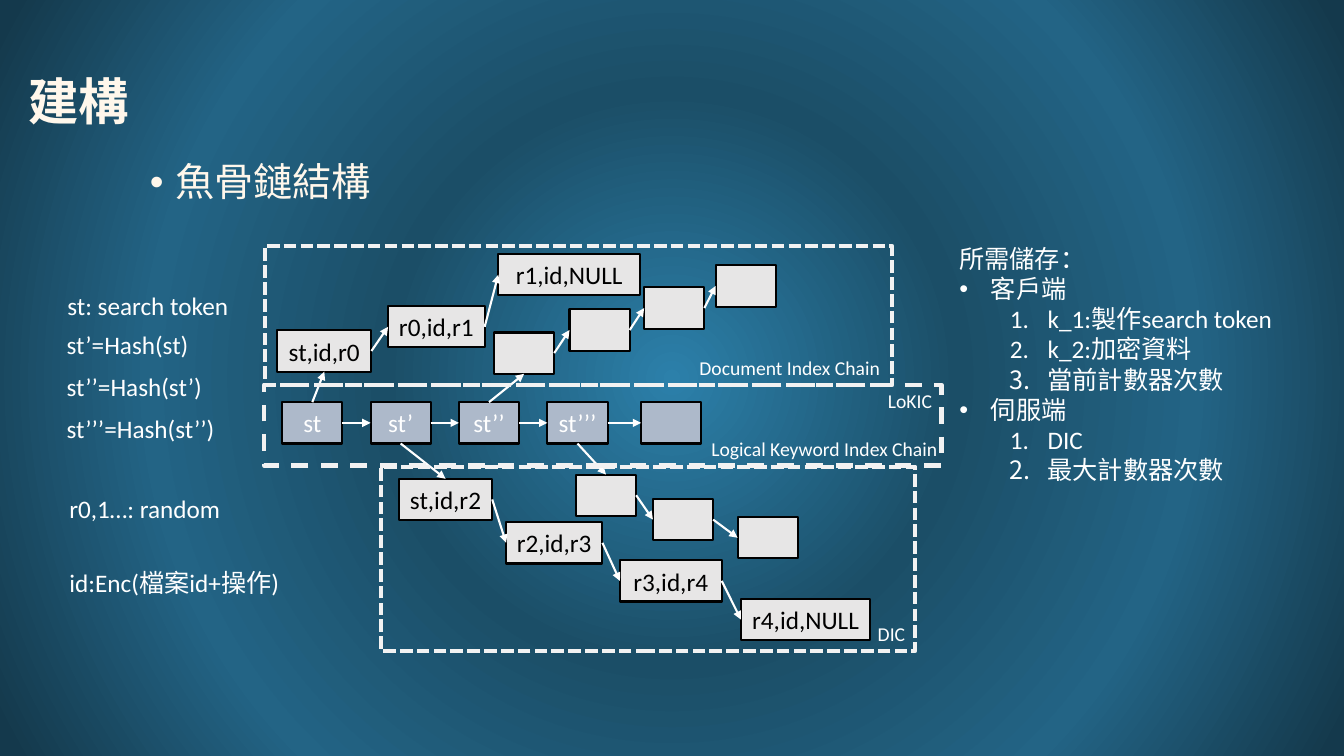
import lxml.etree
import pptx
import pptx.dml.color
import pptx.enum.dml
import pptx.enum.shapes
import pptx.enum.text
import pptx.oxml.ns
import pptx.util

Pt = pptx.util.Pt
qn = pptx.oxml.ns.qn
Dash = pptx.enum.dml.MSO_LINE
Align = pptx.enum.text.PP_ALIGN
Anchor = pptx.enum.text.MSO_ANCHOR
Rect = pptx.enum.shapes.MSO_SHAPE.RECTANGLE
Straight = pptx.enum.shapes.MSO_CONNECTOR.STRAIGHT

# Content: lengths in points
LATIN, HAN = "Calibri", "Noto Sans CJK SC"
CREAM, WHITE, BLACK, PALE = "FFF7EB", "FFFFFF", "000000", "F2F2F2"
GREY, STEEL = "E7E6E6", "ADB9CA"
GLOW = [(0, "2C80AA"), (37, "1B4E67"), (68, "236485"), (98, "14394C")]
TITLE = "建構"
TOPIC = "魚骨鏈結構"
HIGH, SLIM = 29.5, 43

# Keyword chain: left, text
SPINE_TOP = 287.3
SPINE = [(201.6, "st"), (264.7, "st’"), (327.8, "st’’"), (391, "st’’’"), (458, "")]

# Index chains: spine box, goes up, then left, top, width, text of each box
BONES = [
    (0, True, [(198, 236, 67.3, "st,id,r0"), (277.2, 218.7, 69, "r0,id,r1"),
               (355.9, 181.5, 101.5, "r1,id,NULL")]),
    (2, True, [(352.9, 237.5, SLIM, ""), (406.8, 221, SLIM, ""),
               (460.1, 205.3, SLIM, ""), (511.2, 189.5, SLIM, "")]),
    (1, False, [(284.9, 342, 66.7, "st,id,r2"), (361.5, 373, 68.8, "r2,id,r3"),
                (442.8, 400.2, 72.7, "r3,id,r4"), (529.3, 427.8, 92.3, "r4,id,NULL")]),
    (3, False, [(411.4, 339, SLIM, ""), (466.4, 356.4, SLIM, ""),
                (526.9, 369.4, SLIM, "")]),
]

FRAMES = [
    (188.6, 275, 483.9, 57.6, Dash.DASH),
    (272.2, 333.4, 381.6, 131.6, Dash.SQUARE_DOT),
    (189.4, 175.7, 447.8, 99.4, Dash.SQUARE_DOT),
]

# Left, top, width, text
LABELS = [
    (492.5, 250.6, 150, "Document Index Chain"),
    (619.9, 440.6, 42, "DIC"),
    (501.1, 308.9, 185, "Logical Keyword Index Chain"),
    (627.1, 273.9, 52, "LoKIC"),
]
NOTES = [
    (41, 203.8, 140, "st: search token"),
    (40.5, 231.8, 130, "st’=Hash(st)"),
    (40.5, 261.4, 130, "st’’=Hash(st’)"),
    (40.5, 291.6, 130, "st’’’=Hash(st’’)"),
    (42.5, 348.5, 135, "r0,1…: random"),
    (42.5, 401.8, 166.3, "id:Enc(檔案id+操作)"),
]
STORE = [
    ("", "所需儲存："),
    ("dot", "客戶端"),
    ("num", "k_1:製作search token"),
    ("num", "k_2:加密資料"),
    ("num", "當前計數器次數"),
    ("dot", "伺服端"),
    ("num", "DIC"),
    ("num", "最大計數器次數"),
]


def color(code):
    return pptx.dml.color.RGBColor.from_string(code)


def add(parent, tag, **attrs):
    return lxml.etree.SubElement(parent, qn(tag), **attrs)


def style(para, size, code, bold=False):
    for run in para.runs:
        font = run.font
        font.size, font.bold, font.name = Pt(size), bold, LATIN
        font.color.rgb = color(code)
        add(font.fill._xPr, "a:ea", typeface=HAN)


def bullet(para, kind, left, hang):
    props = para._p.get_or_add_pPr()
    props.set("marL", str(Pt(left)))
    props.set("indent", str(-Pt(hang)))
    if kind == "dot":
        add(props, "a:buFont", typeface="Arial")
        add(props, "a:buChar", char="•")
    else:
        add(props, "a:buFont", typeface="+mj-lt")
        add(props, "a:buAutoNum", type="arabicPeriod")


def write(left, top, wide, high, text, size, code):
    frame = slide.shapes.add_textbox(Pt(left), Pt(top), Pt(wide), Pt(high)).text_frame
    frame.word_wrap = True
    frame.text = text
    for para in frame.paragraphs:
        style(para, size, code)
    return frame


def block(left, top, wide, high, fill, edge, weight):
    shape = slide.shapes.add_shape(Rect, Pt(left), Pt(top), Pt(wide), Pt(high))
    shape.shadow.inherit = False
    if fill:
        shape.fill.solid()
        shape.fill.fore_color.rgb = color(fill)
    else:
        shape.fill.background()
    shape.line.color.rgb = color(edge)
    shape.line.width = Pt(weight)
    return shape


def node(left, top, wide, text, fill, ink):
    frame = block(left, top, wide, HIGH, fill, BLACK, 1.5).text_frame
    if text:
        frame.margin_left = frame.margin_right = 0
        frame.vertical_anchor = Anchor.MIDDLE
        frame.text = text
        frame.paragraphs[0].alignment = Align.CENTER
        style(frame.paragraphs[0], 18, ink)
    return left, top, wide


def arrow(start, end):
    link = slide.shapes.add_connector(Straight, *map(Pt, start + end))
    link.line.color.rgb = color(WHITE)
    link.line.width = Pt(1.5)
    props = link._element.spPr
    add(props.find(qn("a:ln")), "a:tailEnd", type="triangle")
    add(props, "a:effectLst")


def chain(boxes):
    for (left, top, wide), (to, low, _) in zip(boxes, boxes[1:]):
        arrow((left + wide, top + HIGH / 2), (to, low + HIGH / 2))


deck = pptx.Presentation()
deck.slide_width, deck.slide_height = Pt(960), Pt(540)
slide = deck.slides.add_slide(deck.slide_layouts[5])

# Background glow
back = slide.background.fill
back.gradient()
grad = back._xPr.find(qn("a:gradFill"))
for child in list(grad):
    grad.remove(child)
stops = add(grad, "a:gsLst")
for place, code in GLOW:
    add(add(stops, "a:gs", pos=str(place * 1000)), "a:srgbClr", val=code)
half = "50000"
add(add(grad, "a:path", path="circle"), "a:fillToRect", l=half, t=half, r=half, b=half)

# Title and topic
title = slide.shapes.title
title.left, title.top, title.width, title.height = map(Pt, (13, 22.3, 828, 104.4))
head = title.text_frame
head.text = TITLE
head.auto_size = pptx.enum.text.MSO_AUTO_SIZE.NONE
head.vertical_anchor = Anchor.MIDDLE
head.paragraphs[0].alignment = Align.LEFT
head.paragraphs[0].line_spacing = 0.9
style(head.paragraphs[0], 36, CREAM, True)
topic = write(100, 113, 828, 342.7, TOPIC, 28, CREAM).paragraphs[0]
bullet(topic, "dot", 18, 18)
topic.line_spacing = 0.9

# Fishbone boxes and arrows
spine = [node(left, SPINE_TOP, SLIM, text, STEEL, WHITE) for left, text in SPINE]
chain(spine)
for root, up, row in BONES:
    bone = [node(*box, GREY, BLACK) for box in row]
    chain(bone)
    base, (left, top, wide) = spine[root][0] + SLIM / 2, bone[0]
    out, into = (SPINE_TOP, top + HIGH) if up else (SPINE_TOP + HIGH, top)
    arrow((base, out), (left + wide / 2, into))

# Dashed frames
for *area, dash in FRAMES:
    block(*area, None, PALE, 3).line.dash_style = dash

# Labels and notes
for left, top, wide, text in LABELS:
    write(left, top, wide, 24.5, text, 14, WHITE)
for left, top, wide, text in NOTES:
    write(left, top, wide, 29, text, 18, WHITE)

# Storage list
lines = "\n".join(text for _, text in STORE)
store = write(678.2, 170, 256, 181.4, lines, 18, WHITE)
for (kind, _), para in zip(STORE, store.paragraphs):
    if kind == "dot":
        bullet(para, kind, 22.5, 22.5)
    elif kind == "num":
        para.level = 1
        bullet(para, kind, 63, 27)

deck.save("out.pptx")
